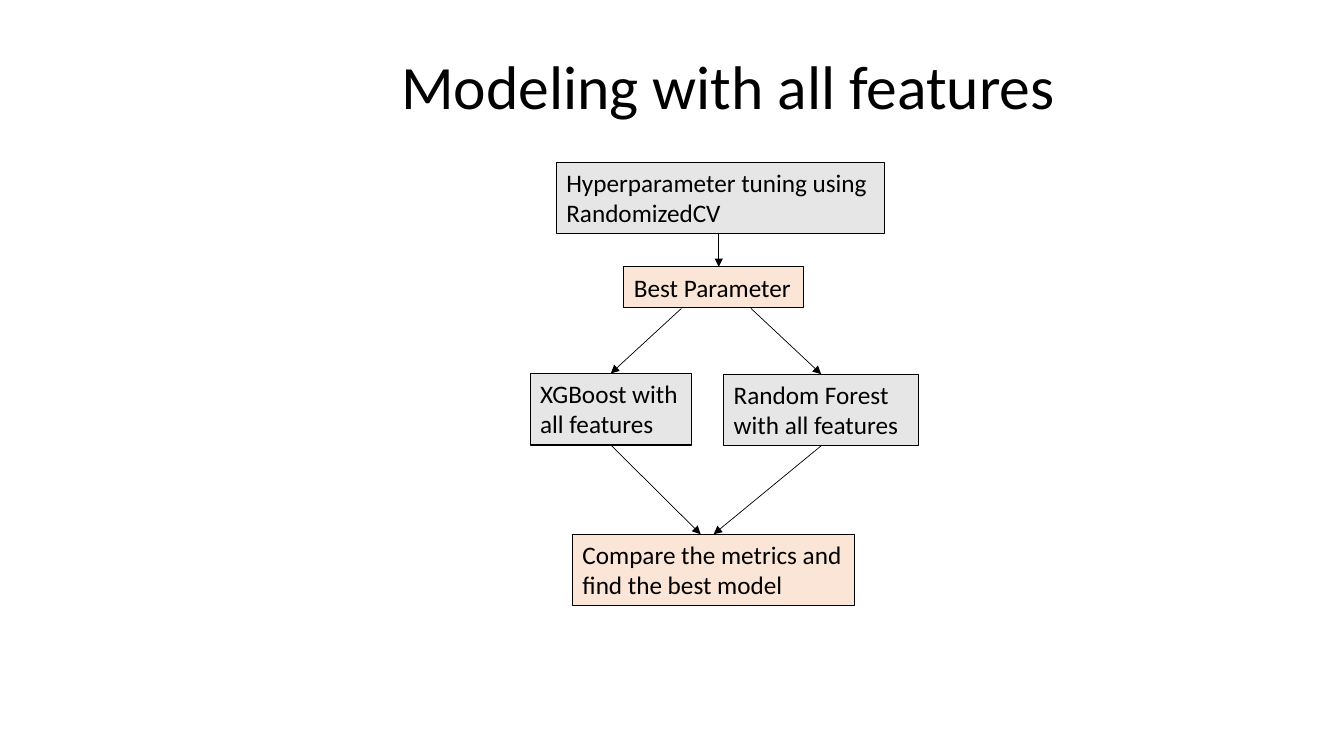
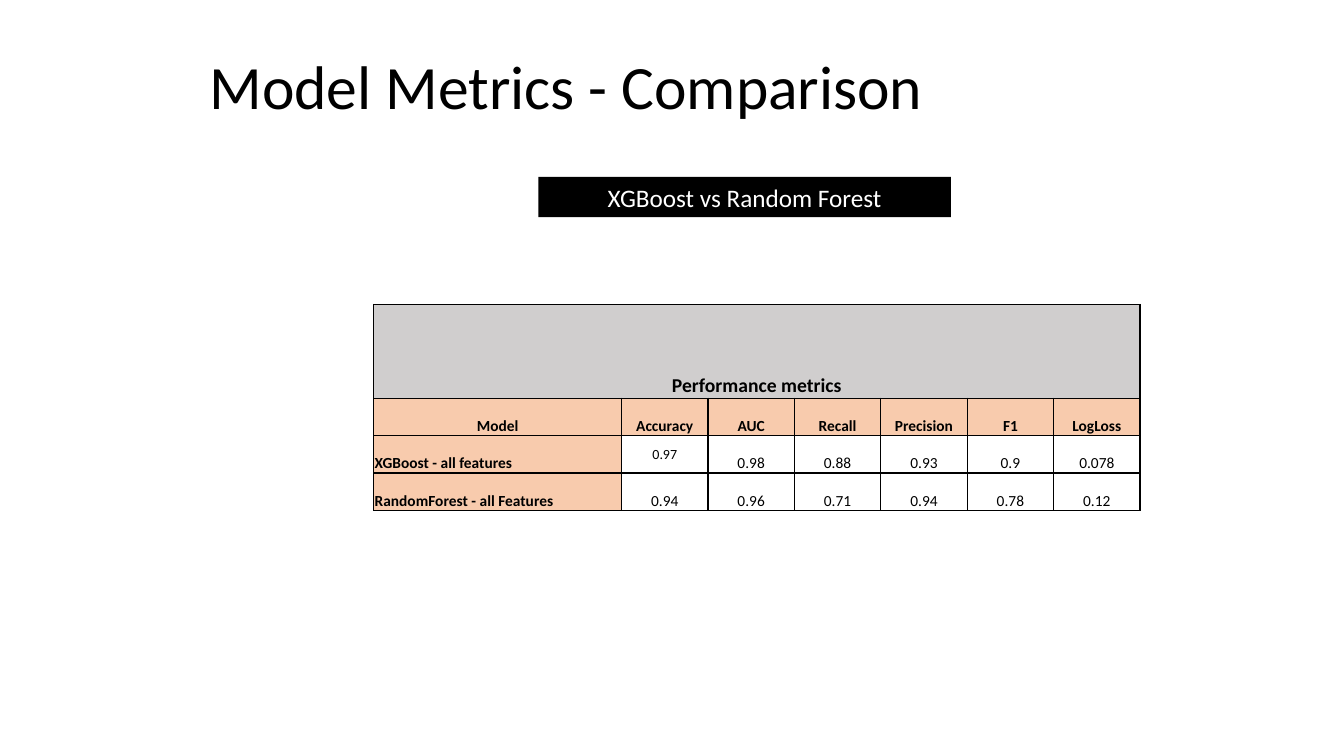
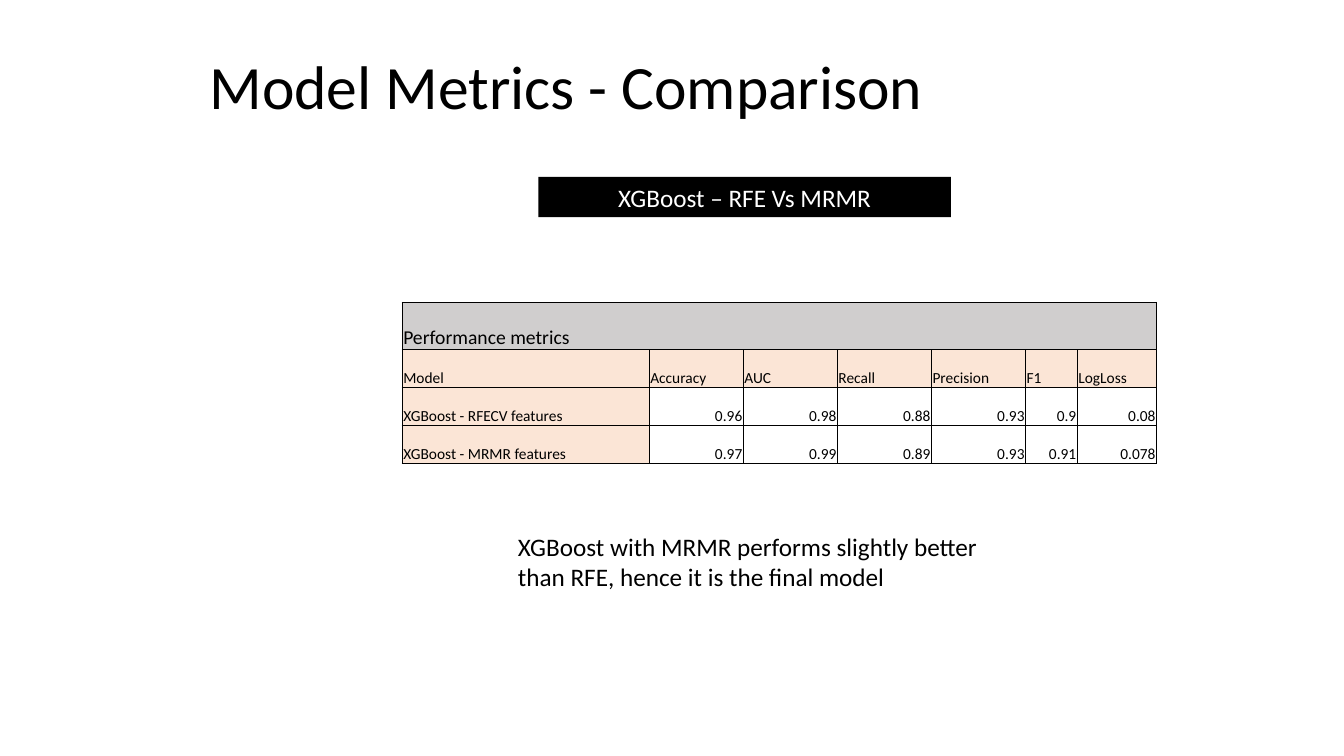
from pptx import Presentation
from pptx.dml.color import RGBColor
from pptx.enum.shapes import MSO_CONNECTOR, MSO_SHAPE
from pptx.enum.text import MSO_ANCHOR as ANCHOR, PP_ALIGN as ALIGN
from pptx.oxml.ns import qn
from pptx.util import Inches, Pt
from lxml.etree import SubElement

BLACK = RGBColor(0x00, 0x00, 0x00)
WHITE = RGBColor(0xFF, 0xFF, 0xFF)
GRAY = RGBColor(0xE7, 0xE6, 0xE6)
SILVER = RGBColor(0xD0, 0xCE, 0xCE)
PEACH = RGBColor(0xFB, 0xE5, 0xD6)
ORANGE = RGBColor(0xF8, 0xCB, 0xAD)
FONT = "Calibri"

prs = Presentation()
prs.slide_width, prs.slide_height = Inches(13.33), Inches(7.5)
COL, ROW = prs.slide_width / 100, prs.slide_height / 100
BLANK = prs.slide_layouts[6]
ONE_LINE, TWO_LINES = 5.33, 9.47


def write(tf, text, size, color=BLACK, align=ALIGN.LEFT, bold=False):
    p = tf.paragraphs[0]
    p.alignment = align
    r = p.add_run()
    r.text = text
    r.font.name, r.font.size, r.font.bold = FONT, Pt(size), bold
    r.font.color.rgb = color
    return p


def add_box(s, x, y, w, h, fill=None, line=None):
    at = int(x * COL), int(y * ROW), int(w * COL), int(h * ROW)
    if fill is None:
        sp = s.shapes.add_textbox(*at)
    else:
        sp = s.shapes.add_shape(MSO_SHAPE.RECTANGLE, *at)
        sp.shadow.inherit = False
        sp.fill.solid()
        sp.fill.fore_color.rgb = fill
        if line is None:
            sp.line.fill.background()
        else:
            sp.line.color.rgb, sp.line.width = line, Pt(0.75)
    sp.text_frame.word_wrap = True
    sp.text_frame.vertical_anchor = ANCHOR.TOP
    return sp


slides = []
for title, x, w in [
    ("Modeling with all features", 29.1, 70.9),
    ("Model Metrics - Comparison", 14.85, 81.08),
    ("Model Metrics - Comparison", 14.85, 81.08),
]:
    s = prs.slides.add_slide(BLANK)
    tf = add_box(s, x, 2.13, w, 19.33).text_frame
    tf.vertical_anchor = ANCHOR.MIDDLE
    write(tf, title, 44).line_spacing = 0.9
    slides.append(s)

flow, all_features, selected = slides

steps = {}
for name, text, x, y, w, h, fill in [
    ("tuning", "Hyperparameter tuning using RandomizedCV", 41.4, 21.47, 24.45, TWO_LINES, GRAY),
    ("best", "Best Parameter", 46.43, 35.3, 13.35, ONE_LINE, PEACH),
    ("xgboost", "XGBoost with all features", 39.45, 49.4, 12, TWO_LINES, GRAY),
    ("forest", "Random Forest with all features", 53.85, 49.5, 14.5, TWO_LINES, GRAY),
    ("compare", "Compare the metrics and find the best model", 42.6, 70.67, 21, TWO_LINES, PEACH),
]:
    steps[name] = add_box(flow, x, y, w, h, fill, BLACK)
    write(steps[name].text_frame, text, 18)

for x1, y1, x2, y2, start, end in [
    (53.48, 30.9, 53.48, 35.3, None, None),
    (50.7, 40.8, 45.45, 49.4, None, "xgboost"),
    (55.88, 40.8, 61.1, 49.5, None, "forest"),
    (45.45, 58.87, 52.13, 70.67, "xgboost", None),
    (61.1, 58.97, 53.1, 70.67, "forest", "compare"),
]:
    arrow = flow.shapes.add_connector(
        MSO_CONNECTOR.STRAIGHT, int(x1 * COL), int(y1 * ROW), int(x2 * COL), int(y2 * ROW))
    if start:
        arrow.begin_connect(steps[start], 2)
    if end:
        arrow.end_connect(steps[end], 0)
    arrow.line.color.rgb, arrow.line.width = BLACK, Pt(0.5)
    SubElement(arrow.line._get_or_add_ln(), qn("a:tailEnd"), type="triangle")
    SubElement(arrow._element.spPr, qn("a:effectLst"))

HEADER = ["Model", "Accuracy", "AUC", "Recall", "Precision", "F1", "LogLoss"]
for s, banner, x, y, widths, heights, tint, bold, head_align, value_align, small, rows in [
    (all_features, "XGBoost vs Random Forest", 27.8, 40.27,
     [18.45] + [6.43] * 6, [12.4] + [4.95] * 3,
     ORANGE, True, ALIGN.CENTER, ALIGN.CENTER, (2, 1),
     [["XGBoost - all features", "0.97", "0.98", "0.88", "0.93", "0.9", "0.078"],
      ["RandomForest - all Features", "0.94", "0.96", "0.71", "0.94", "0.78", "0.12"]]),
    (selected, "XGBoost – RFE Vs MRMR", 29.93, 40,
     [18.38] + [7] * 4 + [3.85, 5.9], [6.27] + [5.02] * 3,
     PEACH, False, ALIGN.LEFT, ALIGN.RIGHT, None,
     [["XGBoost - RFECV features", "0.96", "0.98", "0.88", "0.93", "0.9", "0.08"],
      ["XGBoost - MRMR features", "0.97", "0.99", "0.89", "0.93", "0.91", "0.078"]]),
]:
    bar = add_box(s, 40.06, 23.4, 30.7, ONE_LINE, BLACK)
    write(bar.text_frame, banner, 18, WHITE, ALIGN.CENTER)

    grid = [["Performance metrics"] + [""] * 6, HEADER] + rows
    table = s.shapes.add_table(
        len(grid), len(HEADER), int(x * COL), int(y * ROW),
        int(sum(widths) * COL), int(sum(heights) * ROW)).table
    table.first_row = table.horz_banding = False
    for column, w in zip(table.columns, widths):
        column.width = int(w * COL)
    for row, h in zip(table.rows, heights):
        row.height = int(h * ROW)
    table.cell(0, 0).merge(table.cell(0, len(HEADER) - 1))

    for i, texts in enumerate(grid):
        for j, text in enumerate(texts):
            cell = table.cell(i, j)
            cell.margin_left = cell.margin_right = cell.margin_top = Inches(0.01)
            cell.margin_bottom = 0
            cell.vertical_anchor = ANCHOR.MIDDLE if (i, j) == small else ANCHOR.BOTTOM
            tcPr = cell._tc.get_or_add_tcPr()
            for side in ("lnL", "lnR", "lnT", "lnB"):
                ln = SubElement(tcPr, qn("a:" + side), w=str(Pt(1)))
                SubElement(SubElement(ln, qn("a:solidFill")), qn("a:srgbClr"), val=str(BLACK))
            is_value = i > 1 and j > 0
            cell.fill.solid()
            cell.fill.fore_color.rgb = SILVER if i == 0 else WHITE if is_value else tint
            if text:
                size = 14 if i == 0 else 10 if (i, j) == small else 11
                align = value_align if is_value else head_align if i < 2 else ALIGN.LEFT
                write(cell.text_frame, text, size, BLACK, align, bold and not is_value)

conclusion = add_box(selected, 37.8, 69.6, 37.43, TWO_LINES)
write(conclusion.text_frame,
      "XGBoost with MRMR performs slightly better than RFE, hence it is the final model", 18)

prs.save("out.pptx")
